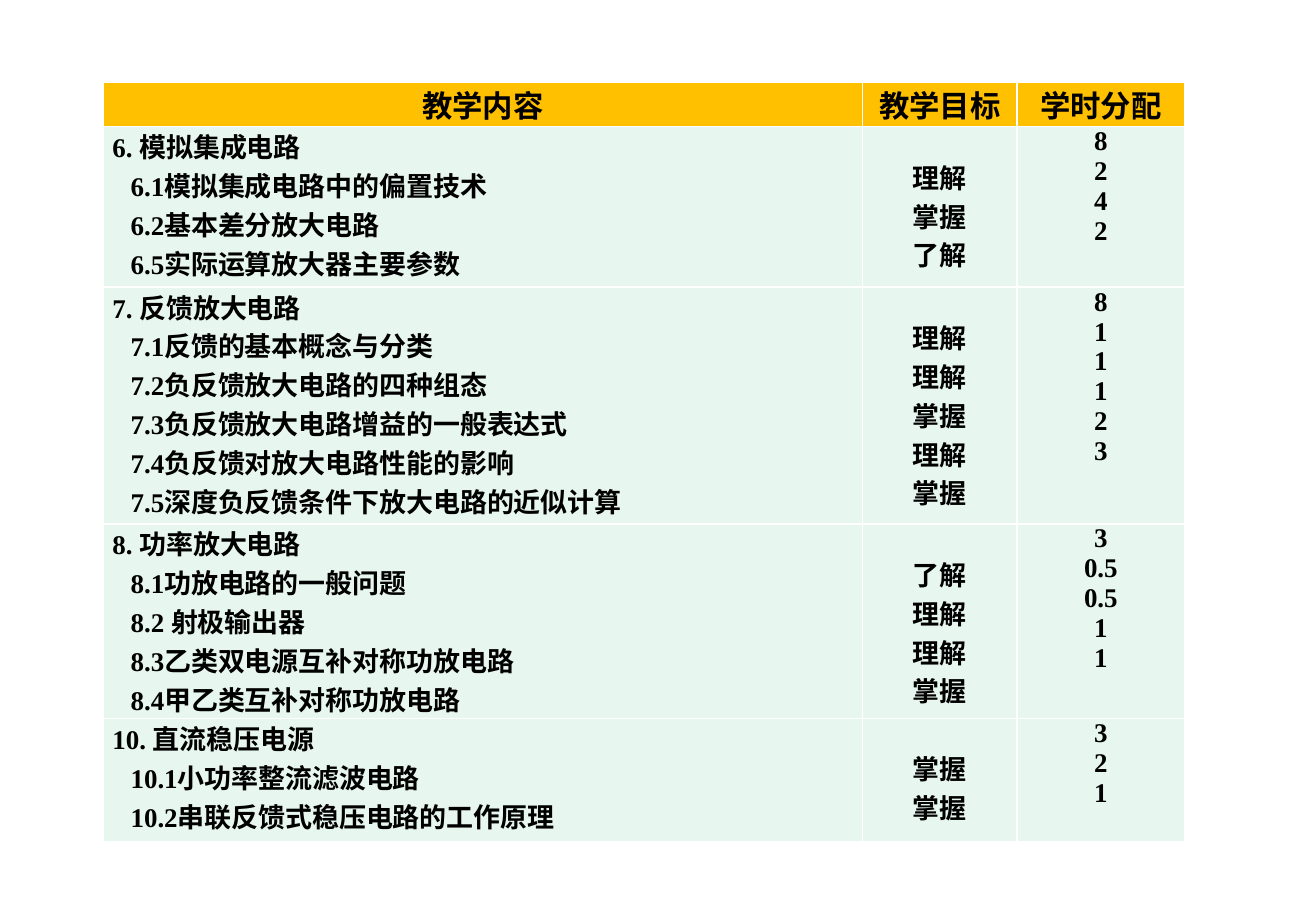
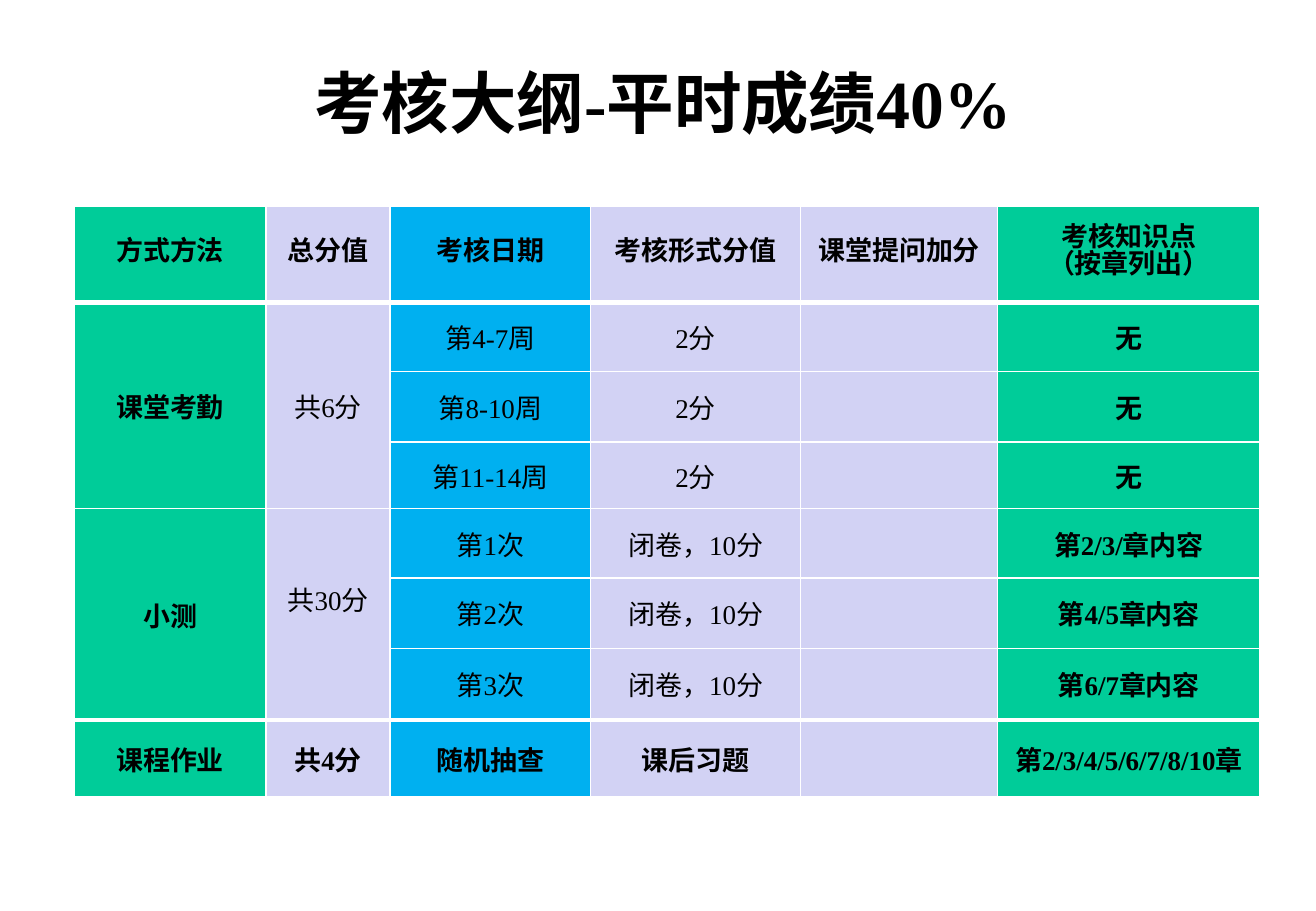
import dataclasses

import pptx
import pptx.dml.color
import pptx.enum.text
import pptx.oxml
import pptx.oxml.ns
import pptx.util


@dataclasses.dataclass(frozen=True)
class Theme:
    font: str = "Times New Roman"
    ink: str = "000000"
    rule: str = "FFFFFF"
    amber: str = "FFC000"
    mint: str = "E7F6EF"
    green: str = "00CC99"
    lilac: str = "D2D2F4"
    blue: str = "00B0F0"
    title_size: float = 40
    header_size: float = 18
    body_size: float = 16
    thin: float = 1
    thick: float = 3


theme = Theme()
ALIGN = pptx.enum.text.PP_ALIGN
ANCHOR = pptx.enum.text.MSO_ANCHOR

presentation = pptx.Presentation()
presentation.slide_width = pptx.util.Inches(10.83)
presentation.slide_height = pptx.util.Inches(7.5)

# Layout grid: one hundred columns and one hundred rows
column = presentation.slide_width / 100
row = presentation.slide_height / 100


def add_table(slide, left, top, widths, heights):
    """Add a plain table; all lengths are in grid columns and rows."""
    table = slide.shapes.add_table(
        len(heights), len(widths), int(left * column), int(top * row),
        int(sum(widths) * column), int(sum(heights) * row)).table
    table.first_row = table.horz_banding = False
    for table_column, width in zip(table.columns, widths):
        table_column.width = int(width * column)
    for table_row, height in zip(table.rows, heights):
        table_row.height = int(height * row)
    return table


def fill_cell(cell, text, color, size=theme.body_size, bold=True, align=ALIGN.CENTER,
              anchor=ANCHOR.TOP, top_rule=theme.thin, bottom_rule=theme.thin):
    """Draw the rules, fill and formatted text of one cell."""
    cell.margin_left = cell.margin_right = pptx.util.Pt(5.4)
    cell.margin_top = cell.margin_bottom = 0
    cell.vertical_anchor = anchor
    properties = cell._tc.get_or_add_tcPr()
    for side, width in zip("LRTB", (theme.thin, theme.thin, top_rule, bottom_rule)):
        properties.append(pptx.oxml.parse_xml(
            f'<a:ln{side} {pptx.oxml.ns.nsdecls("a")} w="{pptx.util.Pt(width)}">'
            f'<a:solidFill><a:srgbClr val="{theme.rule}"/></a:solidFill></a:ln{side}>'))
    cell.fill.solid()
    cell.fill.fore_color.rgb = pptx.dml.color.RGBColor.from_string(color)
    cell.text_frame.text = text
    for paragraph in cell.text_frame.paragraphs:
        paragraph.alignment = align
        for run in paragraph.runs:
            run.font.name = theme.font
            run.font.size = pptx.util.Pt(size)
            run.font.bold = bold
            run.font.color.rgb = pptx.dml.color.RGBColor.from_string(theme.ink)


# Slide 1: teaching content, goals and hours
slide = presentation.slides.add_slide(presentation.slide_layouts[6])
chapters = [
    (["6. 模拟集成电路", "6.1模拟集成电路中的偏置技术", "6.2基本差分放大电路",
      "6.5实际运算放大器主要参数"],
     ["理解", "掌握", "了解"], ["8", "2", "4", "2"]),
    (["7. 反馈放大电路", "7.1反馈的基本概念与分类", "7.2负反馈放大电路的四种组态",
      "7.3负反馈放大电路增益的一般表达式", "7.4负反馈对放大电路性能的影响",
      "7.5深度负反馈条件下放大电路的近似计算"],
     ["理解", "理解", "掌握", "理解", "掌握"], ["8", "1", "1", "1", "2", "3"]),
    (["8. 功率放大电路", "8.1功放电路的一般问题", "8.2 射极输出器",
      "8.3乙类双电源互补对称功放电路", "8.4甲乙类互补对称功放电路"],
     ["了解", "理解", "理解", "掌握"], ["3", "0.5", "0.5", "1", "1"]),
    (["10. 直流稳压电源", "10.1小功率整流滤波电路", "10.2串联反馈式稳压电路的工作原理"],
     ["掌握", "掌握"], ["3", "2", "1"]),
]
blank_line = pptx.util.Inches(0.25)
table = add_table(slide, 7.85, 9.07, [57.71, 11.73, 12.74], [4.13, 17.6, 26, 20.4, 13.6])
for index, heading in enumerate(["教学内容", "教学目标", "学时分配"]):
    fill_cell(table.cell(0, index), heading, theme.amber, size=theme.header_size)
for row_index, chapter in enumerate(chapters, start=1):
    for column_index, lines in enumerate(chapter):
        fill_cell(table.cell(row_index, column_index), "\n".join(lines), theme.mint,
                  align=ALIGN.CENTER if column_index else ALIGN.JUSTIFY)
    # Sections are indented; goals start beside the first section
    for paragraph in table.cell(row_index, 0).text_frame.paragraphs[1:]:
        paragraph._p.get_or_add_pPr().set("indent", str(pptx.util.Inches(0.15)))
    table.cell(row_index, 1).margin_top = blank_line

# Slide 2: title
slide = presentation.slides.add_slide(presentation.slide_layouts[5])
title = slide.shapes.title
title.left, title.top = int(7.85 * column), int(2.8 * row)
title.width, title.height = int(85.04 * column), int(16.67 * row)
title.text_frame.text = "考核大纲-平时成绩40%"
title.text_frame.vertical_anchor = ANCHOR.MIDDLE
paragraph = title.text_frame.paragraphs[0]
paragraph.alignment = ALIGN.CENTER
font = paragraph.runs[0].font
font.name, font.size, font.bold = theme.font, pptx.util.Pt(theme.title_size), True
font.color.rgb = pptx.dml.color.RGBColor.from_string(theme.ink)

# Slide 2: assessment table
assessment = [
    ["方式方法", "总分值", "考核日期", "考核形式分值", "课堂提问加分", "考核知识点\n（按章列出）"],
    ["课堂考勤", "共6分", "第4-7周", "2分", "", "无"],
    ["", "", "第8-10周", "2分", "", "无"],
    ["", "", "第11-14周", "2分", "", "无"],
    ["小测", "共30分", "第1次", "闭卷，10分", "", "第2/3/章内容"],
    ["", "", "第2次", "闭卷，10分", "", "第4/5章内容"],
    ["", "", "第3次", "闭卷，10分", "", "第6/7章内容"],
    ["课程作业", "共4分", "随机抽查", "课后习题", "", "第2/3/4/5/6/7/8/10章"],
]
column_colors = [theme.green, theme.lilac, theme.blue, theme.lilac, theme.lilac, theme.green]
last_row, last_column = len(assessment) - 1, len(column_colors) - 1
table = add_table(slide, 5.63, 22.67, [14.59, 9.42, 15.24, 15.97, 14.96, 19.94],
                  [10.53, 7.6, 7.73, 7.33, 7.6, 7.73, 7.87, 8.4])
for first in (1, 4):
    for column_index in (0, 1):
        table.cell(first, column_index).merge(table.cell(first + 2, column_index))
for row_index, texts in enumerate(assessment):
    for column_index, text in enumerate(texts):
        fill_cell(table.cell(row_index, column_index), text, column_colors[column_index],
                  bold=row_index in (0, last_row) or column_index in (0, last_column),
                  anchor=ANCHOR.MIDDLE,
                  top_rule=theme.thick if row_index in (1, last_row) else theme.thin,
                  bottom_rule=theme.thick if row_index in (0, last_row - 1) else theme.thin)
for column_index in range(len(column_colors)):
    for paragraph in table.cell(0, column_index).text_frame.paragraphs:
        paragraph.line_spacing = pptx.util.Pt(theme.body_size)
table.cell(4, 1).margin_bottom = blank_line

presentation.save("out.pptx")
